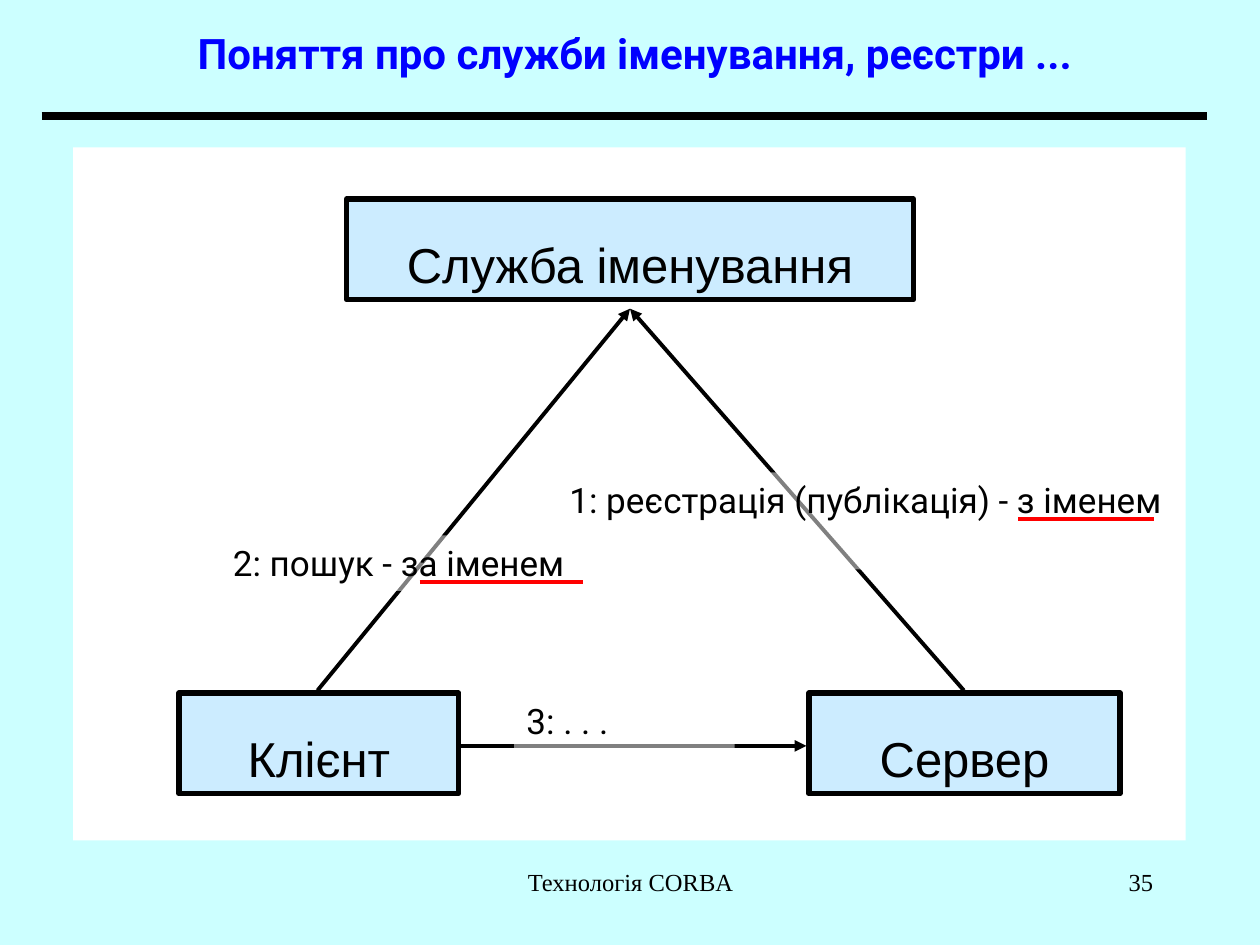
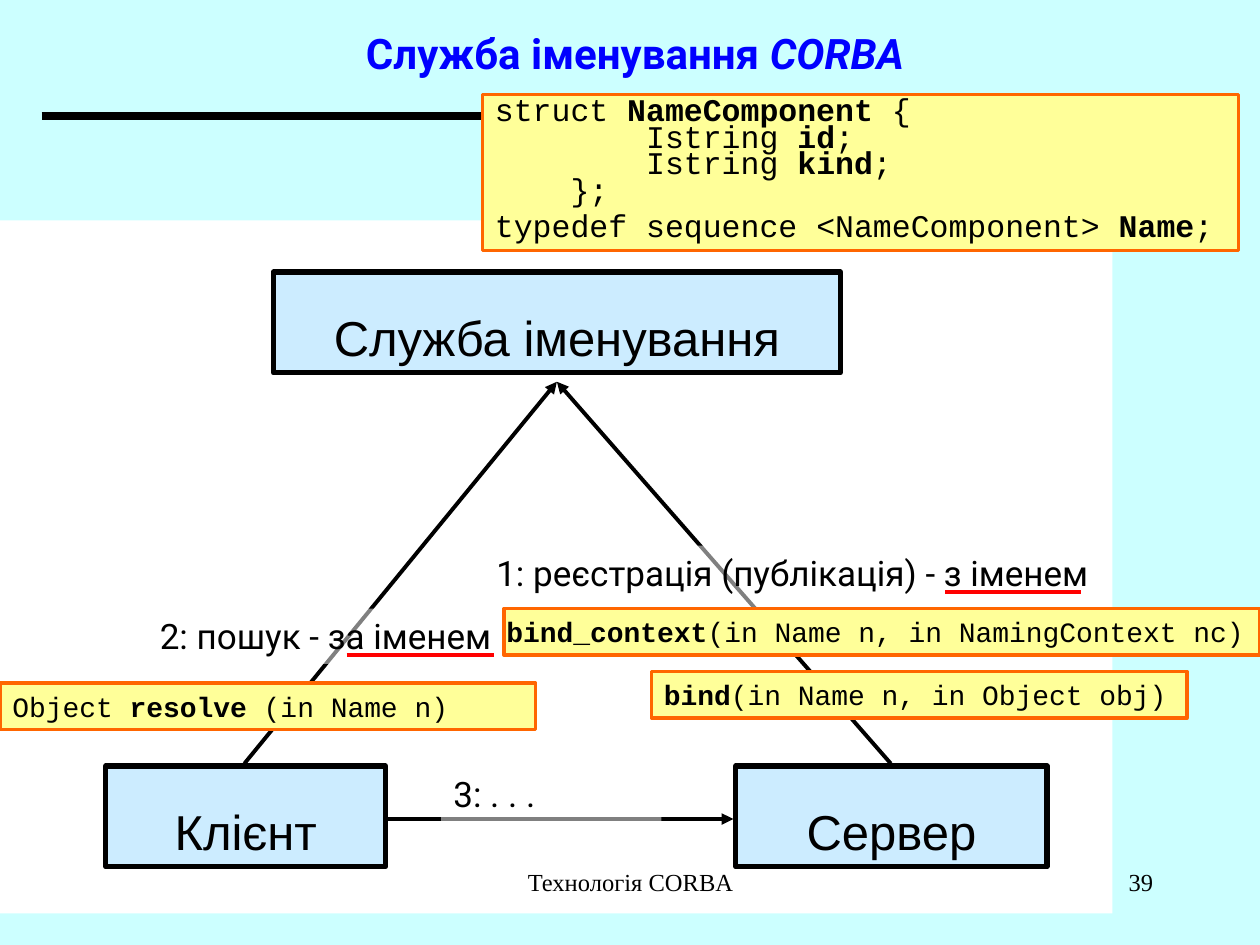
from dataclasses import dataclass

import pptx
import pptx.dml.color
import pptx.enum.shapes
import pptx.enum.text
import pptx.oxml.ns
import pptx.util
from lxml import etree

Inches = pptx.util.Inches
Pt = pptx.util.Pt
Align = pptx.enum.text.PP_ALIGN
Anchor = pptx.enum.text.MSO_ANCHOR
Shape = pptx.enum.shapes.MSO_SHAPE
Link = pptx.enum.shapes.MSO_CONNECTOR
qn = pptx.oxml.ns.qn


@dataclass(frozen=True)
class Theme:
    back: str = "CCFFFF"
    white: str = "FFFFFF"
    black: str = "000000"
    blue: str = "0000FF"
    red: str = "FF0000"
    node: str = "CCECFF"
    code: str = "FFFF99"
    edge: str = "FF6600"
    title: tuple = ("Roboto", 24)
    name: tuple = ("Arial", 28)
    label: tuple = ("Roboto", 20)
    call: tuple = ("Courier New", 16)
    struct: tuple = ("Courier New", 18)
    foot: tuple = ("Times New Roman", 14)


BOLD = {"bold": True}
ITALIC = {"bold": True, "italic": True}


def tint(name):
    return pptx.dml.color.RGBColor.from_string(name)


def apply(target, values):
    for key, value in values.items():
        setattr(target, key, value)


class Deck:
    def __init__(self, theme):
        self.theme = theme
        self.file = pptx.Presentation()
        apply(self.file, {"slide_width": Inches(10), "slide_height": Inches(7.5)})

    def page(self):
        self.slide = self.file.slides.add_slide(self.file.slide_layouts[6])
        fill = self.slide.background.fill
        fill.solid()
        fill.fore_color.rgb = tint(self.theme.back)

    def letter(self, shape, lines, face, color=None, form=None, pad=0.1, anchor=Anchor.TOP):
        frame = shape.text_frame
        apply(frame, {
            "word_wrap": True, "vertical_anchor": anchor,
            "margin_left": Inches(pad), "margin_right": Inches(pad),
            "margin_top": Inches(0.05), "margin_bottom": Inches(0.05),
        })
        for index, (runs, extra) in enumerate(lines):
            para = frame.add_paragraph() if index else frame.paragraphs[0]
            apply(para, {"alignment": Align.LEFT, **(form or {}), **extra})
            for text, style in runs:
                run = para.add_run()
                run.text = text
                apply(run.font, {"name": face[0], "size": Pt(face[1]), **style})
                run.font.color.rgb = tint(color or self.theme.black)

    def text(self, area, runs, face, **style):
        shape = self.slide.shapes.add_textbox(*map(Inches, area))
        self.letter(shape, [(runs, {})], face, **style)

    def rect(self, area, fill, line=None, width=0, alpha=None):
        shape = self.slide.shapes.add_shape(Shape.RECTANGLE, *map(Inches, area))
        shape.shadow.inherit = False
        shape.fill.solid()
        shape.fill.fore_color.rgb = tint(fill)
        if alpha:
            color = shape._element.spPr.find(".//" + qn("a:srgbClr"))
            etree.SubElement(color, qn("a:alpha"), val=str(alpha * 1000))
        if line:
            shape.line.color.rgb = tint(line)
            shape.line.width = Pt(width)
        else:
            shape.line.fill.background()
        return shape

    def line(self, start, end, color, width, arrow=False):
        link = self.slide.shapes.add_connector(Link.STRAIGHT, *map(Inches, (*start, *end)))
        link.line.color.rgb = tint(color)
        link.line.width = Pt(width)
        props = link._element.spPr
        if arrow:
            etree.SubElement(props.find(qn("a:ln")), qn("a:tailEnd"), type="triangle")
        etree.SubElement(props, qn("a:effectLst"))

    def node(self, area, name):
        shape = self.rect(area, self.theme.node, self.theme.black, 3)
        form = {"alignment": Align.CENTER, "line_spacing": 1.5}
        self.letter(shape, [([(name, {})], {})], self.theme.name, form=form)

    def label(self, area, text):
        shape = self.rect(area, self.theme.white, alpha=50)
        self.letter(shape, [([(text, {})], {})], self.theme.label)

    def code(self, area, lines, face, pad=0.1):
        shape = self.rect(area, self.theme.code, self.theme.edge, 2)
        self.letter(shape, lines, face, pad=pad)

    def head(self, runs):
        theme = self.theme
        self.text((0.33, 0, 9.42, 0.83), runs, theme.title, color=theme.blue,
                  form={"alignment": Align.CENTER}, anchor=Anchor.MIDDLE)
        self.line((0.33, 0.92), (9.58, 0.92), theme.black, 4.5)

    def foot(self, number):
        face = self.theme.foot
        self.text((3.42, 6.83, 3.17, 0.5), [("Технологія CORBA", {})], face,
                  form={"alignment": Align.CENTER})
        self.text((7.17, 6.83, 2.08, 0.5), [(str(number), {})], face,
                  form={"alignment": Align.RIGHT})

    def scheme(self, title, left, top, mark):
        theme = self.theme

        def move(x, y, *size):
            return (left + x, top + y, *size)

        self.rect(move(0, 0, 8.83, 5.5), theme.white)
        self.head(title)
        for x, y, width, name in (
            (0.84, 4.33, 2.22, "Клієнт"),
            (5.84, 4.33, 2.47, "Сервер"),
            (2.17, 0.41, 4.5, "Служба іменування"),
        ):
            self.node(move(x, y, width, 0.8), name)
        peak = (4.42, 1.28)
        for start, end in (
            ((7.07, 4.31), peak),
            ((1.94, 4.31), peak),
            ((3.07, 4.75), (5.82, 4.75)),
        ):
            self.line(move(*start), move(*end), theme.black, 2.25, arrow=True)
        for x, y, width, height, text in (
            (3.84, 2.58, 4.92, 0.77, "1: реєстрація (публікація) - з іменем"),
            (1.17, 3.08, 3, 0.44, "2: пошук - за іменем"),
            (3.5, 4.33, 1.75, 0.44, "3: . . ."),
        ):
            self.label(move(x, y, width, height), text)
        for x, y, width in ((7.5, 2.95, 1.08), (2.75, 3.45, mark)):
            self.line(move(x, y), move(x + width, y), theme.red, 2.25)


def main():
    theme = Theme()
    deck = Deck(theme)

    deck.page()
    deck.scheme([("Поняття про служби іменування, реєстри ...", BOLD)], 0.58, 1.17, 1.3)
    deck.foot(35)

    deck.page()
    deck.scheme([("Служба іменування ", BOLD), ("CORBA", ITALIC)], 0, 1.75, 1.17)
    bind = [("bind", BOLD), ("(in Name n, in Object obj)", {})]
    find = [("Object ", {}), ("resolve", BOLD), (" (in Name n)", {})]
    nest = [("bind_context", BOLD), ("(in Name n, in NamingContext nc)", {})]
    tight = {"line_spacing": 0.7}
    struct = [
        ([("struct ", {}), ("NameComponent", BOLD), (" {", {})], tight),
        *(([("        Istring ", {}), (field, BOLD), (";", {})], tight)
          for field in ("id", "kind")),
        ([("    };", {})], tight),
        ([("typedef sequence <NameComponent> ", {}), ("Name", BOLD), (";", {})], {}),
    ]
    deck.code((5.17, 5.33, 4.25, 0.37), [(bind, {})], theme.call)
    deck.code((0, 5.42, 4.25, 0.37), [(find, {})], theme.call)
    deck.code((3.83, 0.75, 6, 1.24), struct, theme.struct)
    deck.code((4, 4.83, 6, 0.37), [(nest, {})], theme.call, pad=0.02)
    deck.foot(39)

    deck.file.save("out.pptx")


if __name__ == "__main__":
    main()
